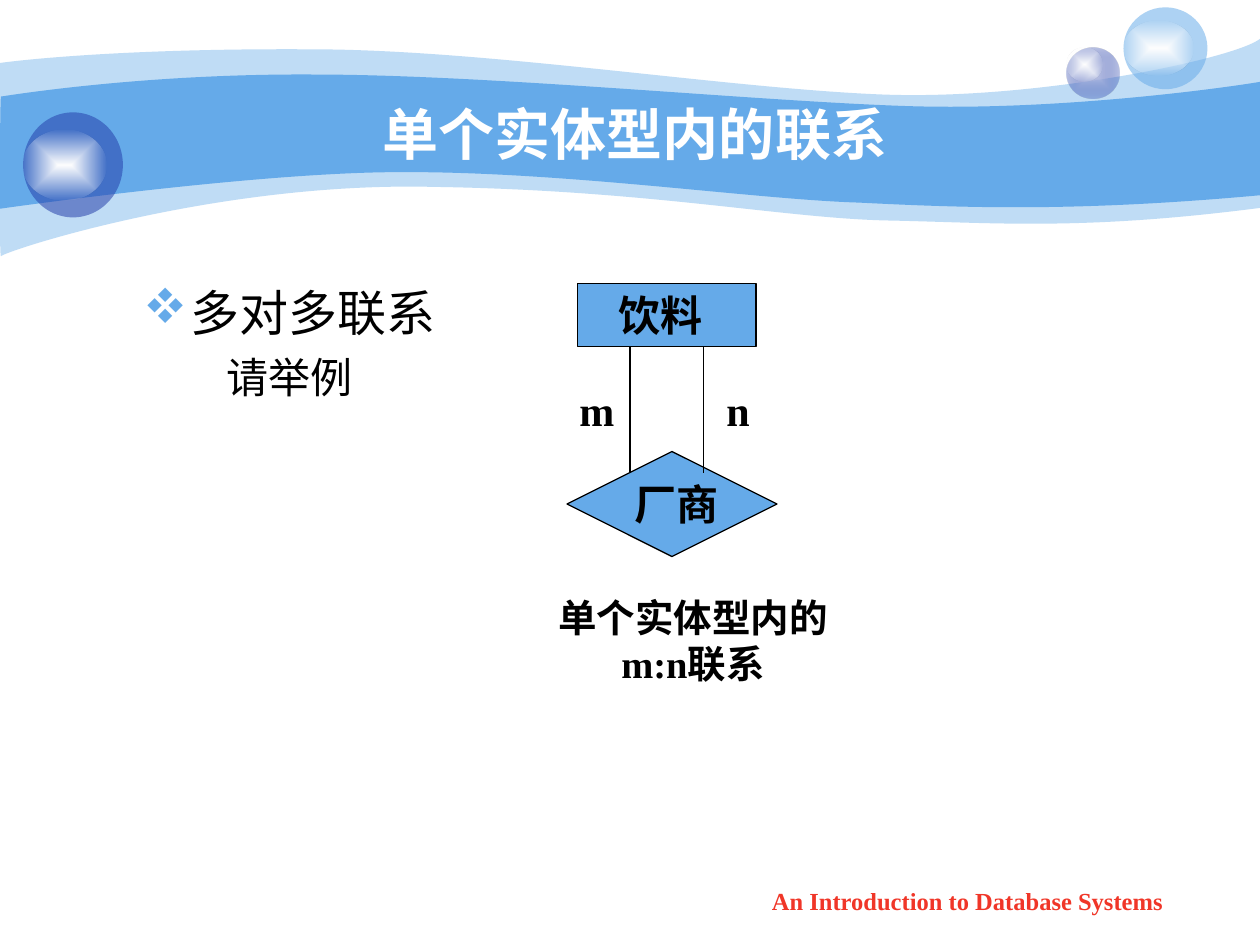
from lxml.etree import SubElement
from pptx import Presentation
from pptx.dml.color import RGBColor
from pptx.enum.shapes import MSO_CONNECTOR, MSO_SHAPE
from pptx.enum.text import MSO_ANCHOR, PP_ALIGN
from pptx.oxml.ns import qn
from pptx.util import Pt

PX = 914400 // 120
THEME = {
    "sky": "65AAE9", "navy": "233DA9", "mist": "C7CEE9", "white": "FFFFFF",
    "black": "000000", "red": "F03628",
    "title": 32, "topic": 28, "label": 24, "caption": 22, "footer": 14,
    "heading_font": "Arial", "body_font": "Times New Roman", "bullet_font": "Wingdings",
    "line": 0.75,
}


def paint(shape, *stops):
    shape.shadow.inherit = False
    shape.line.fill.background()
    shape.fill.background()
    properties = shape._element.spPr
    old_fill = properties.find(qn("a:noFill"))
    position = properties.index(old_fill)
    properties.remove(old_fill)
    if len(stops) == 1:
        fill = SubElement(properties, qn("a:solidFill"))
        holders = [fill]
    else:
        fill = SubElement(properties, qn("a:gradFill"), rotWithShape="1")
        stop_list = SubElement(fill, qn("a:gsLst"))
        holders = [SubElement(stop_list, qn("a:gs"), pos=place) for place in ("0", "100000")]
        gradient = SubElement(fill, qn("a:path"), {"path": "rect"})
        SubElement(gradient, qn("a:fillToRect"), dict.fromkeys("ltrb", "50000"))
    for holder, (color, opacity) in zip(holders, stops):
        rgb = SubElement(holder, qn("a:srgbClr"), val=THEME[color])
        if opacity < 100:
            SubElement(rgb, qn("a:alpha"), val=str(opacity * 1000))
    properties.insert(position, fill)


def write(shape, text, size, color="black", font="body_font", bold=True,
          frame_format=None, paragraph_format=None):
    frame = shape.text_frame
    for name, value in {"word_wrap": True, "vertical_anchor": MSO_ANCHOR.TOP,
                        **(frame_format or {})}.items():
        setattr(frame, name, value)
    paragraph = frame.add_paragraph() if frame.text else frame.paragraphs[0]
    paragraph.text = text
    for name, value in {"alignment": PP_ALIGN.CENTER, **(paragraph_format or {})}.items():
        setattr(paragraph, name, value)
    run_font = paragraph.runs[0].font
    for name, value in {"size": Pt(THEME[size]), "name": THEME[font], "bold": bold}.items():
        setattr(run_font, name, value)
    run_font.color.rgb = RGBColor.from_string(THEME[color])
    return paragraph


presentation = Presentation()
presentation.slide_width = 1200 * PX
presentation.slide_height = 900 * PX
slide = presentation.slides.add_slide(presentation.slide_layouts[6])
shapes = slide.shapes

waves = [
    (41, (0, 60), [
        [(29, 56), (130, 46), (296, 47)], [(463, 47), (690, 84), (839, 90)],
        [(986, 96), (1176, 56), (1200, 37)], [(1200, 198)],
        [(1030, 220), (946, 212), (846, 210)], [(746, 208), (618, 181), (412, 178)],
        [(206, 173), (5, 239), (1, 244)], [(-1, 250), (0, 90), (0, 60)]]),
    (100, (1, 92), [
        [(2, 92), (132, 70), (298, 71)], [(464, 71), (715, 96), (862, 101)],
        [(1009, 106), (1171, 83), (1200, 78)], [(1200, 186)],
        [(1024, 202), (918, 198), (818, 193)], [(719, 190), (536, 163), (380, 164)],
        [(244, 164), (-2, 199), (-1, 199)], [(0, 199), (0, 92), (1, 92)]]),
]
for opacity, start, segments in waves:
    outline = shapes.build_freeform(*start, scale=PX)
    outline.add_line_segments([point for segment in segments for point in segment], close=True)
    wave = outline.convert_to_shape()
    path_element = next(wave._element.iter(qn("a:path")))
    lines = iter(path_element.findall(qn("a:lnTo")))
    for segment in segments:
        if len(segment) == 1:
            next(lines)
            continue
        curve = SubElement(path_element, qn("a:cubicBezTo"))
        controls = [next(lines) for point in segment]
        path_element.replace(controls[0], curve)
        for control in controls:
            curve.append(control[0])
        for control in controls[1:]:
            path_element.remove(control)
    paint(wave, ("sky", opacity))

glow = [("white", 100), ("white", 0)]
bubbles = [
    ((1016, 45, 50, 49), [("mist", 100), ("navy", 31)]),
    ((1016, 45, 34, 33), glow),
    ((1070, 7, 80, 78), [("sky", 53)]),
    ((1070, 20, 67, 52), glow),
    ((22, 107, 95, 100), [("navy", 53)]),
    ((22, 124, 79, 67), glow),
]
for box, stops in bubbles:
    bubble = shapes.add_shape(MSO_SHAPE.OVAL, *[value * PX for value in box])
    paint(bubble, *stops)

nodes = [
    (MSO_SHAPE.RECTANGLE, (550, 270, 170, 60), "饮料",
     {"margin_left": 39 * PX}, {"alignment": PP_ALIGN.LEFT}),
    (MSO_SHAPE.DIAMOND, (540, 430, 200, 100), "厂商",
     {"margin_left": 20 * PX, "word_wrap": False, "vertical_anchor": MSO_ANCHOR.MIDDLE}, {}),
]
for kind, box, text, frame_format, paragraph_format in nodes:
    node = shapes.add_shape(kind, *[value * PX for value in box])
    paint(node, ("sky", 100))
    node.line.color.rgb = RGBColor.from_string(THEME["black"])
    node.line.width = Pt(THEME["line"])
    write(node, text, "label", frame_format=frame_format, paragraph_format=paragraph_format)

for x, start, end in [(600, 450, 330), (670, 330, 450)]:
    link = shapes.add_connector(MSO_CONNECTOR.STRAIGHT, x * PX, start * PX, x * PX, end * PX)
    link.line.color.rgb = RGBColor.from_string(THEME["black"])
    link.line.width = Pt(THEME["line"])
    SubElement(link._element.spPr, qn("a:effectLst"))

left = {"alignment": PP_ALIGN.LEFT}
texts = [
    ((120, 90, 970, 74), "单个实体型内的联系", "title",
     {"color": "white", "font": "heading_font",
      "frame_format": {"vertical_anchor": MSO_ANCHOR.MIDDLE}}),
    ((540, 360, 50, 60), "m", "label", {"paragraph_format": left}),
    ((680, 360, 50, 60), "n", "label", {"paragraph_format": left}),
    ((510, 560, 300, 101), "单个实体型内的m:n联系", "caption", {}),
    ((685, 838, 473, 42), "An Introduction to Database Systems", "footer", {"color": "red"}),
]
for box, text, size, options in texts:
    write(shapes.add_textbox(*[value * PX for value in box]), text, size, **options)

topic_box = shapes.add_textbox(101 * PX, 263 * PX, 349 * PX, 126 * PX)
for text, size, spacing, bullet in [("多对多联系", "topic", 1.0, "v"),
                                    ("请举例", "label", 1.2, None)]:
    paragraph = write(topic_box, text, size, bold=False,
                      paragraph_format={"line_spacing": spacing})
    properties = paragraph._p.get_or_add_pPr()
    properties.set("marL", str(45 * PX))
    properties.set("indent", str(-45 * PX))
    if bullet:
        bullet_color = SubElement(properties, qn("a:buClr"))
        SubElement(bullet_color, qn("a:srgbClr"), val=THEME["sky"])
        SubElement(properties, qn("a:buFont"), typeface=THEME["bullet_font"])
        SubElement(properties, qn("a:buChar"), char=bullet)
    else:
        SubElement(properties, qn("a:buNone"))

presentation.save("out.pptx")
